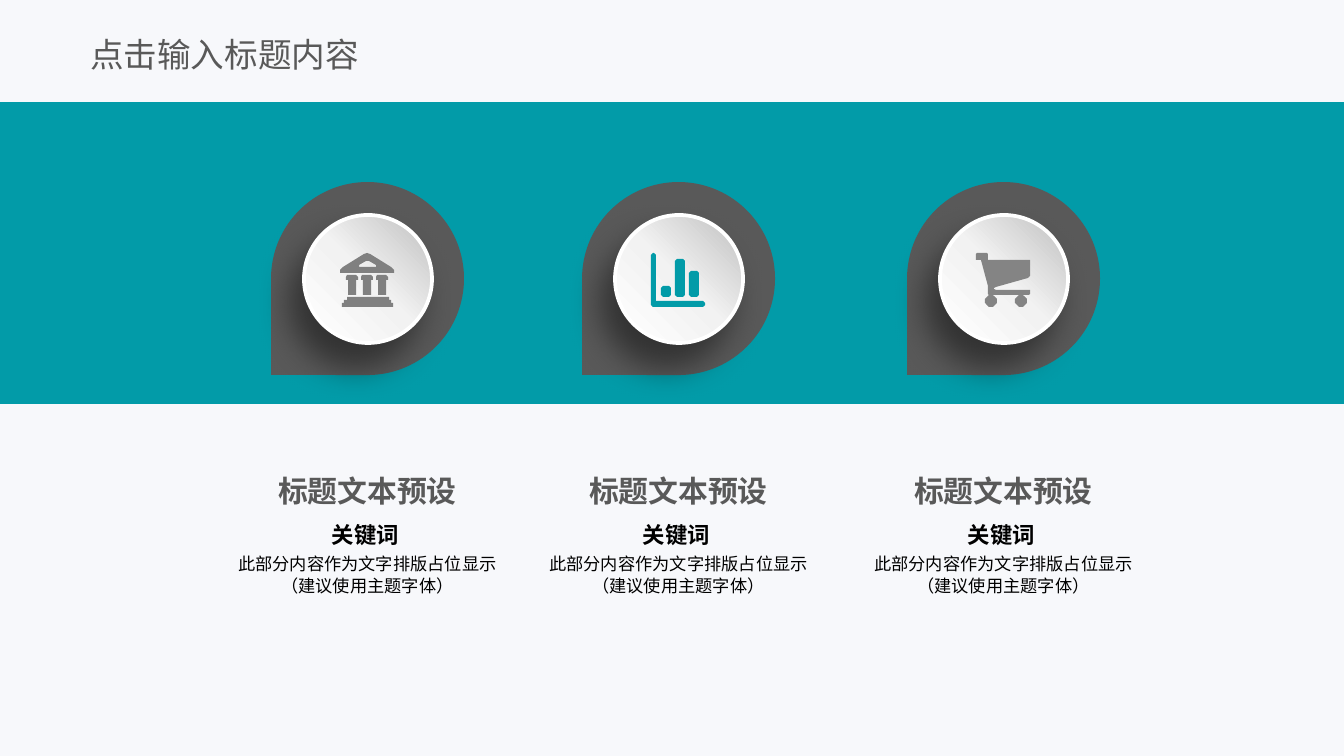
"""Build a title slide with a teal band and three icon columns."""
from math import cos, pi, sin

from lxml.etree import SubElement
from pptx import Presentation
from pptx.dml.color import RGBColor
from pptx.enum.shapes import MSO_SHAPE as SHAPE
from pptx.enum.text import MSO_ANCHOR as ANCHOR, MSO_AUTO_SIZE as FIT, PP_ALIGN as ALIGN
from pptx.oxml import parse_xml
from pptx.oxml.ns import nsdecls, qn
from pptx.util import Pt

PX = 9144000 / 1344
FONT = "Noto Sans CJK SC"
C = {"page": "F7F8FB", "teal": "029BA8", "grey": "595959", "white": "FFFFFF",
     "black": "000000", "bank": "808080", "cart": "848484", "shadow": "0D0D0D"}
GRADIENT = [(0, "BFBFBF"), (50, "F2F2F2"), (100, "FFFFFF")]

TITLE = "点击输入标题内容"
HEADING = "标题文本预设"
KEYWORD = "关键词"
BODY = ["此部分内容作为文字排版占位显示", "（建议使用主题字体）"]


def shift(points, dx):
    return [(x + dx, y) for x, y in points]


def bar(x, y, w, h, cut=2):
    r, b = x + w, y + h
    return [(x + cut, y), (r - cut, y), (r, y + cut), (r, b - cut),
            (r - cut, b), (x + cut, b), (x, b - cut), (x, y + cut)]


def wheel(cx, cy, radius, n=24):
    return [(cx + radius * cos(2 * pi * i / n), cy + radius * sin(2 * pi * i / n))
            for i in range(n)]


PILLAR = [(7, 22), (16, 22), (18, 24), (18, 27), (16, 27), (16, 42), (8, 42),
          (8, 27), (6, 27), (6, 24)]
BANK = [
    [(7, 44), (49, 44), (49, 47), (51, 47), (51, 50), (53, 50), (53, 54),
     (2, 54), (2, 50), (4, 50), (4, 47), (7, 47)],
    *[shift(PILLAR, 15 * i) for i in range(3)],
    [(0, 20), (0, 17), (3, 14), (24, 1), (27, 0), (30, 1), (51, 14), (54, 17), (54, 20)],
    [(26, 8), (19, 12), (19, 14), (36, 14), (36, 12), (29, 8)],
]
CHART = [
    [(0, 2), (2, 0), (3, 0), (5, 2), (5, 48), (52, 48), (54, 50), (54, 52),
     (52, 54), (2, 54), (0, 52)],
    bar(10, 33, 10, 11), bar(24, 6, 10, 38), bar(38, 18, 10, 26),
]
CART = [
    [(20, 34), (52, 25), (54, 23), (54, 7), (12, 7), (12, 1), (11, 0), (1, 0),
     (0, 1), (0, 7), (5, 7), (12, 33), (12, 41), (13, 42), (53, 42), (54, 41),
     (54, 37), (20, 37), (18, 36), (18, 35)],
    wheel(15, 48, 6), wheel(45, 48, 6),
]
COLUMNS = [(367, BANK, "bank"), (678, CHART, "teal"), (1003, CART, "cart")]


def px(*values):
    return [round(v * PX) for v in values]


def rgb(name):
    return RGBColor.from_string(C[name])


def paint(sp, color):
    sp.shadow.inherit = False
    sp.fill.solid()
    sp.fill.fore_color.rgb = rgb(color)
    sp.line.fill.background()


def add_shape(shapes, kind, box, color):
    sp = shapes.add_shape(kind, *px(*box))
    paint(sp, color)
    return sp


def write(sp, lines, size, color, bold=False, align=ALIGN.LEFT, anchor=ANCHOR.TOP,
          wrap=True, spacing=None, inset=0):
    tf = sp.text_frame
    tf.auto_size, tf.word_wrap, tf.vertical_anchor = FIT.NONE, wrap, anchor
    tf.margin_left = tf.margin_right = 0
    tf.margin_top = tf.margin_bottom = px(inset)[0]
    p = tf.paragraphs[0]
    p.alignment = align
    if spacing:
        p.line_spacing = spacing
    for i, line in enumerate(lines):
        if i:
            p.add_line_break()
        r = p.add_run()
        r.text = line
        r.font.size, r.font.bold, r.font.name = Pt(size), bold, FONT
        r.font.color.rgb = rgb(color)
        SubElement(r.font._element, qn("a:ea")).set("typeface", FONT)


def add_disc(shapes, box):
    sp = add_shape(shapes, SHAPE.OVAL, box, "white")
    sp.line.color.rgb, sp.line.width = rgb("white"), Pt(2)
    stops = "".join(f'<a:gs pos="{pos * 1000}"><a:srgbClr val="{color}"/></a:gs>'
                    for pos, color in GRADIENT)
    pr = sp._element.spPr
    pr.replace(pr.find(qn("a:solidFill")), parse_xml(
        f'<a:gradFill {nsdecls("a")} rotWithShape="1"><a:gsLst>{stops}</a:gsLst>'
        f'<a:lin ang="{135 * 60000}" scaled="0"/></a:gradFill>'))
    pr.replace(pr.find(qn("a:effectLst")), parse_xml(
        f'<a:effectLst {nsdecls("a")}><a:outerShdw blurRad="{Pt(17)}" dist="{Pt(14)}" '
        f'dir="{120 * 60000}" algn="ctr" rotWithShape="0"><a:srgbClr val="{C["shadow"]}">'
        '<a:alpha val="50000"/></a:srgbClr></a:outerShdw></a:effectLst>'))


def add_icon(shapes, contours, left, top, color):
    builder = shapes.build_freeform(*contours[0][0], scale=PX)
    for i, points in enumerate(contours):
        if i:
            builder.move_to(*points[0])
        builder.add_line_segments(points[1:], close=True)
    paint(builder.convert_to_shape(*px(left, top)), color)


def add_column(slide, center, icon, color):
    shapes = slide.shapes.add_group_shape().shapes
    drop = add_shape(shapes, SHAPE.TEAR, (center - 96, 182, 193, 193), "grey")
    drop.rotation = 180
    add_disc(shapes, (center - 63, 215, 128, 128))
    body = shapes.add_textbox(*px(center - 134, 551, 269, 47))
    write(body, BODY, 9.2, "black", align=ALIGN.CENTER, spacing=1.1)
    heading = shapes.add_textbox(*px(center - 134, 473, 269, 36))
    write(heading, [HEADING], 16, "grey", True, ALIGN.CENTER, wrap=False)
    keyword = shapes.add_textbox(*px(center - 35, 519, 71, 32))
    write(keyword, [KEYWORD], 12, "black", True, anchor=ANCHOR.MIDDLE, wrap=False)
    add_icon(shapes, icon, center - 27, 253, color)


def main():
    prs = Presentation()
    prs.slide_width, prs.slide_height = px(1344, 756)
    slide = prs.slides.add_slide(prs.slide_layouts[5])
    slide.background.fill.solid()
    slide.background.fill.fore_color.rgb = rgb("page")
    title = slide.shapes.title
    title.left, title.top, title.width, title.height = px(90, 26, 313, 56)
    write(title, [TITLE], 18, "grey", anchor=ANCHOR.MIDDLE, inset=7)
    add_shape(slide.shapes, SHAPE.RECTANGLE, (0, 102, 1344, 302), "teal")
    for center, icon, color in COLUMNS:
        add_column(slide, center, icon, color)
    prs.save("out.pptx")


if __name__ == "__main__":
    main()
